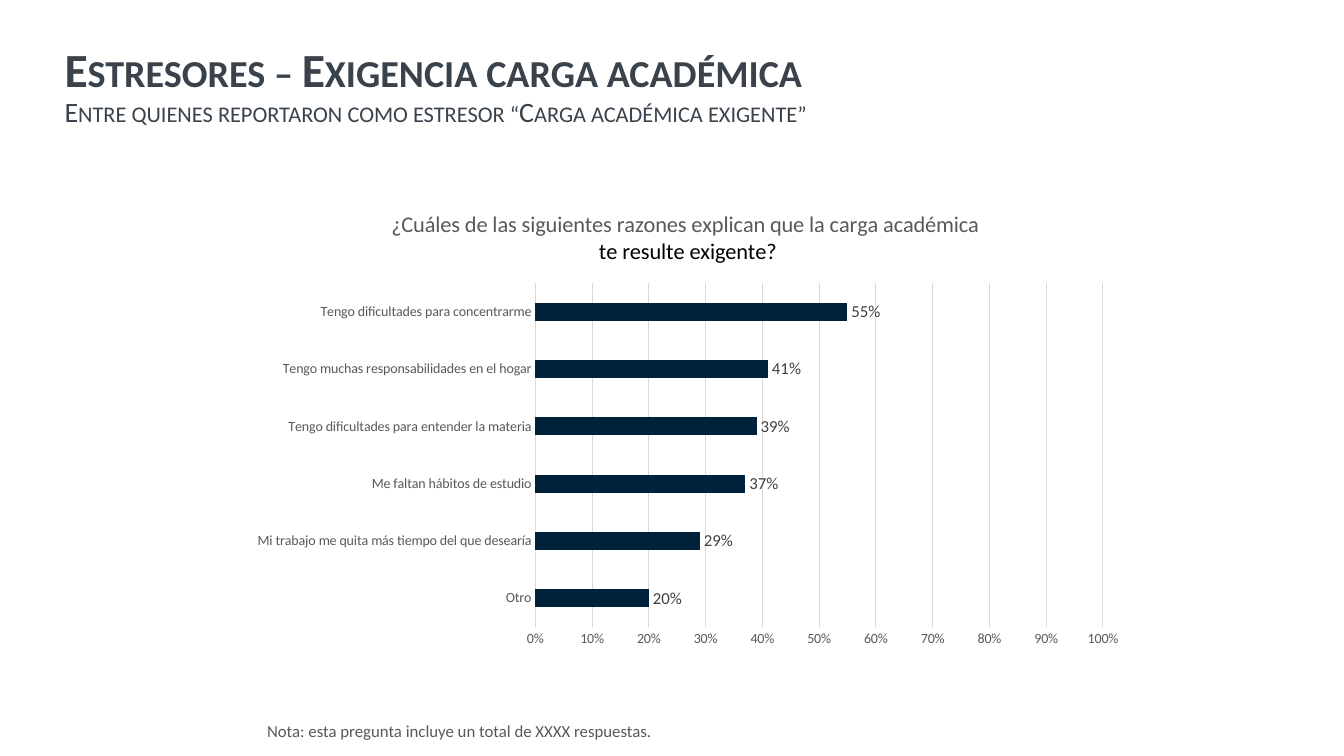
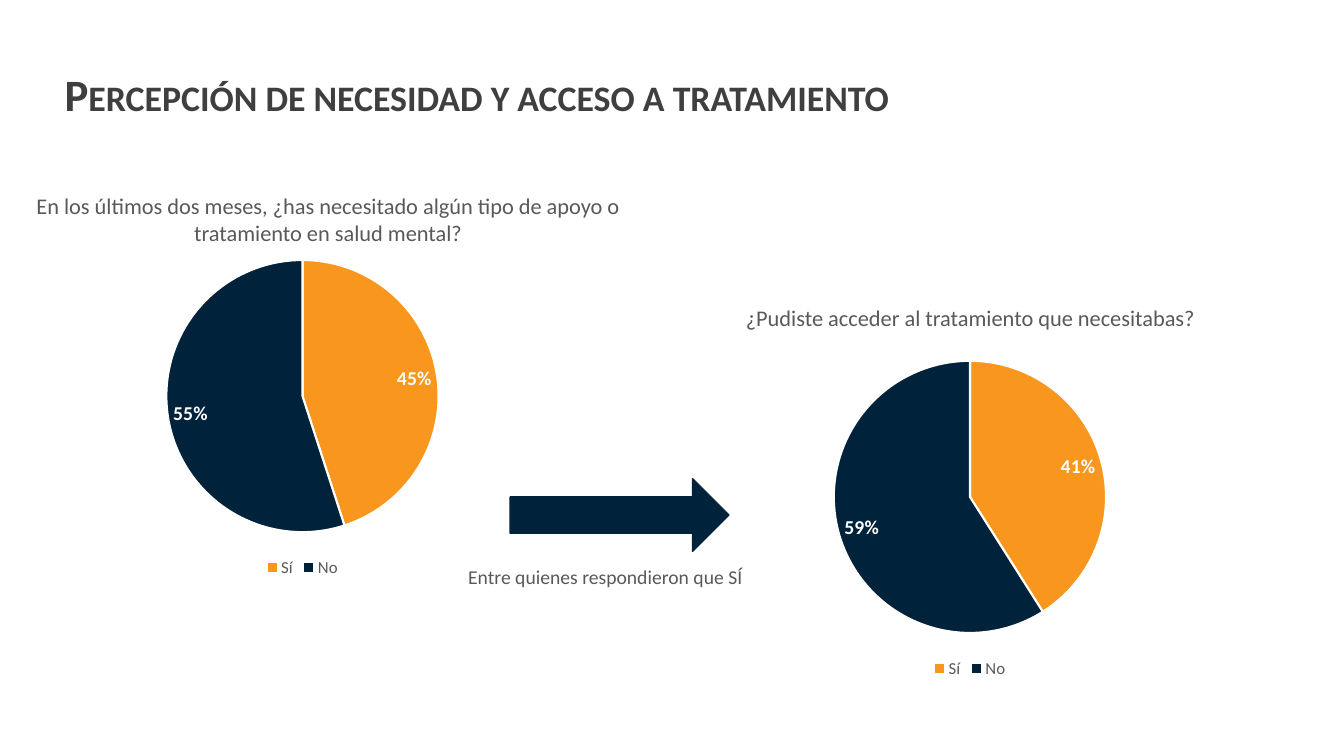
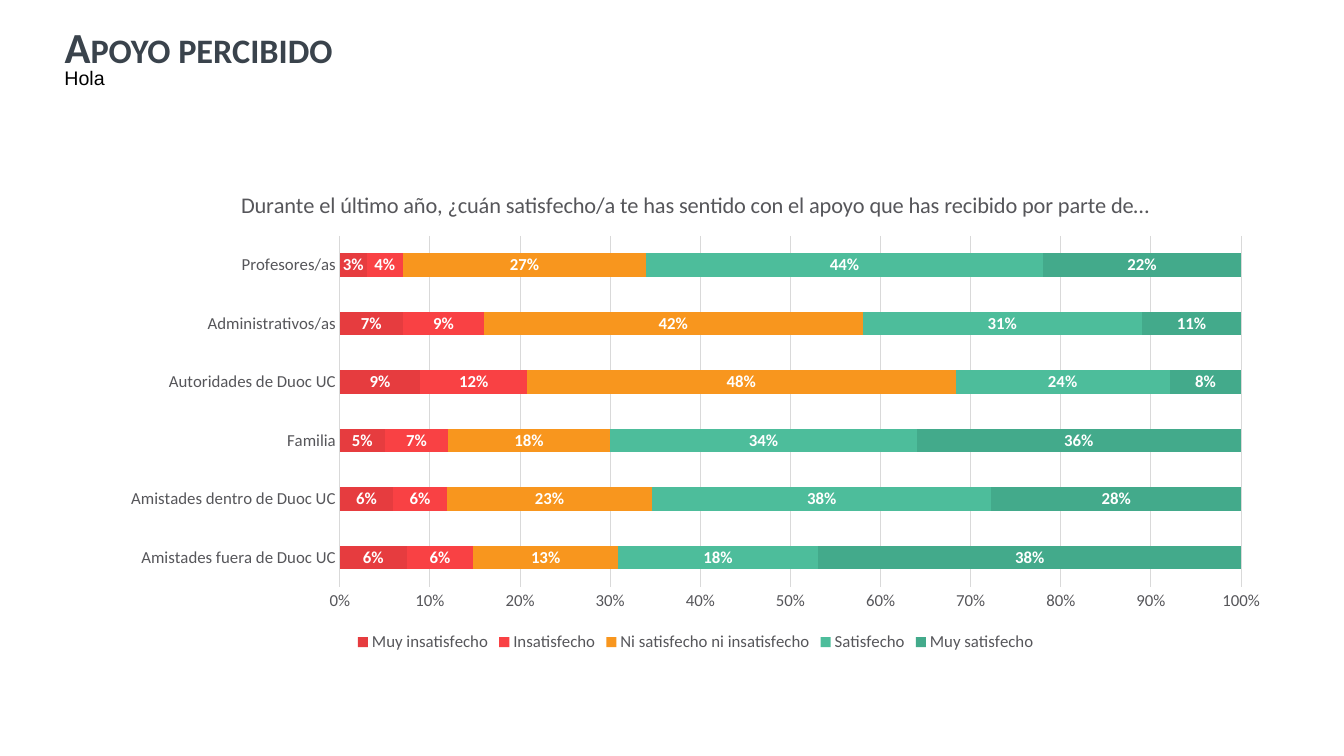
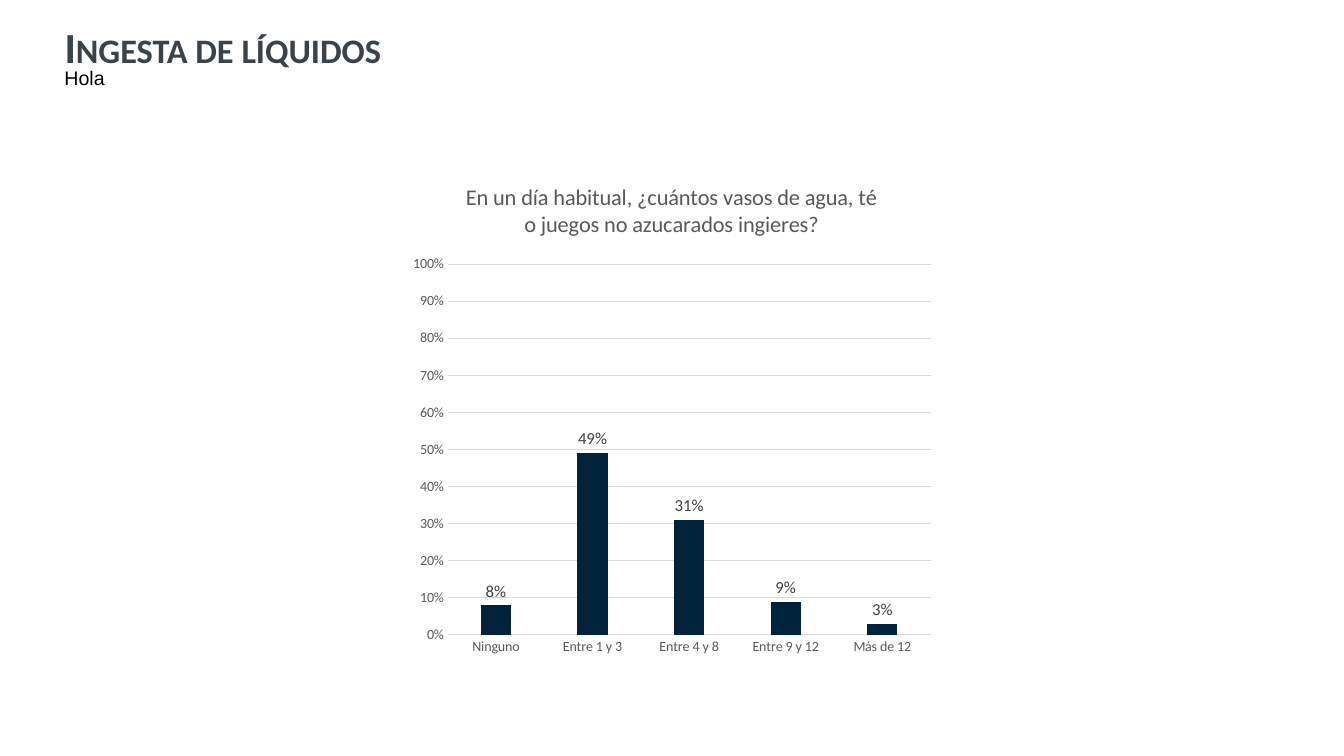
import lxml.etree
import pptx
import pptx.chart.data
import pptx.dml.color
import pptx.enum.chart
import pptx.enum.shapes
import pptx.enum.text
import pptx.oxml.ns
import pptx.util

EMU_PER_PX = 9144
FONT = "Calibri"
NAVY, ORANGE, WHITE, BLACK = "00223A", "F8961E", "FFFFFF", "000000"
SLATE, CHARCOAL, GRAY, LABEL_GRAY = "3A434C", "3F3F3F", "595959", "404040"
WARM_GRAY, GRID_GRAY = "56565A", "D9D9D9"
CHART_TYPE = pptx.enum.chart.XL_CHART_TYPE
LABEL_POSITION = pptx.enum.chart.XL_LABEL_POSITION
ANCHOR = pptx.enum.text.MSO_ANCHOR
ALIGN = pptx.enum.text.PP_ALIGN


def px(length):
    return pptx.util.Emu(length * EMU_PER_PX)


def color(hex_string):
    return pptx.dml.color.RGBColor.from_string(hex_string)


def fill(target, hex_string):
    target.fill.solid()
    target.fill.fore_color.rgb = color(hex_string)


def outline(line, hex_string, width):
    line.color.rgb = color(hex_string)
    line.width = pptx.util.Pt(width)


def style_font(font, size, hex_string, bold=False, name=FONT):
    font.name = name
    font.size = pptx.util.Pt(size)
    font.bold = bold
    font.color.rgb = color(hex_string)


def place(shape, box):
    shape.left, shape.top, shape.width, shape.height = map(px, box)


def add_title_slide(presentation, text, box, size, hex_string=SLATE, anchor=ANCHOR.MIDDLE, subtitle=None):
    slide = presentation.slides.add_slide(presentation.slide_layouts[5])
    title = slide.shapes.title
    place(title, box)
    frame = title.text_frame
    frame.auto_size = pptx.enum.text.MSO_AUTO_SIZE.NONE
    frame.vertical_anchor = anchor
    if anchor == ANCHOR.TOP:
        frame.margin_top = px(1)
    paragraph = frame.paragraphs[0]
    paragraph.alignment = ALIGN.LEFT
    paragraph.line_spacing = 0.9
    paragraph.add_run().text = text
    style_font(paragraph.font, size, hex_string, True)
    paragraph._p.get_or_add_pPr().get_or_add_defRPr().set("cap", "small")
    if subtitle:
        paragraph.add_line_break()
        run = paragraph.add_run()
        run.text = subtitle
        run.font.size = pptx.util.Pt(20)
        run.font.bold = False
    return slide


def add_text(slide, text, box, size, hex_string=GRAY, alignment=ALIGN.LEFT, name=FONT):
    frame = slide.shapes.add_textbox(*map(px, box)).text_frame
    frame.word_wrap = True
    paragraph = frame.paragraphs[0]
    paragraph.text = text
    paragraph.alignment = alignment
    style_font(paragraph.font, size, hex_string, name=name)


def set_layout(parent, box, area, inner=False):
    qualified = pptx.oxml.ns.qn
    layout = parent.find(qualified("c:layout"))
    if layout is None:
        layout = lxml.etree.Element(qualified("c:layout"))
        parent.insert(0, layout)
    manual = lxml.etree.SubElement(layout, qualified("c:manualLayout"))
    settings = [("layoutTarget", "inner")] if inner else []
    settings += [("xMode", "edge"), ("yMode", "edge")]
    extents = (box[2], box[3], box[2], box[3])
    settings += [(key, f"{length / extent:.4f}") for key, length, extent in zip("xywh", area, extents)]
    for key, value in settings:
        lxml.etree.SubElement(manual, qualified("c:" + key)).set("val", value)


def add_chart(slide, kind, box, plot_area, categories, series, size, hex_string):
    data = pptx.chart.data.CategoryChartData(number_format="0%")
    data.categories = categories
    for name, values in series:
        data.add_series(name, values)
    chart = slide.shapes.add_chart(kind, *map(px, box), data).chart
    style_font(chart.font, size, hex_string)
    chart.has_title = False
    chart.has_legend = kind == CHART_TYPE.PIE or len(series) > 1
    if chart.has_legend:
        chart.legend.position = pptx.enum.chart.XL_LEGEND_POSITION.BOTTOM
        chart.legend.include_in_layout = False
        style_font(chart.legend.font, 12, hex_string)
    set_layout(chart._chartSpace.chart.plotArea, box, plot_area, True)
    return chart


def style_labels(series, position, size, hex_string, bold):
    labels = series.data_labels
    labels.show_value = True
    labels.number_format = "0%"
    labels.number_format_is_linked = False
    labels.position = position
    style_font(labels.font, size, hex_string, bold)


def add_chart_title(chart, box, position, lines):
    chart.has_title = True
    frame = chart.chart_title.text_frame
    for index, (text, hex_string) in enumerate(lines):
        paragraph = frame.add_paragraph() if index else frame.paragraphs[0]
        paragraph.text = text
        style_font(paragraph.font, 16, hex_string)
    set_layout(chart.chart_title._element, box, position)


def style_axes(chart, size, hex_string):
    for axis in (chart.category_axis, chart.value_axis):
        axis.major_tick_mark = axis.minor_tick_mark = pptx.enum.chart.XL_TICK_MARK.NONE
        style_font(axis.tick_labels.font, size, hex_string)
    chart.category_axis.has_major_gridlines = False
    outline(chart.category_axis.format.line, GRID_GRAY, 0.75)
    axis = chart.value_axis
    axis.format.line.fill.background()
    axis.has_major_gridlines = True
    outline(axis.major_gridlines.format.line, GRID_GRAY, 0.75)
    axis.tick_labels.number_format = "0%"
    axis.tick_labels.number_format_is_linked = False


def add_bars(slide, kind, box, plot_area, title_position, title_lines, categories, series,
             fills=(NAVY,), gap=219, overlap=0, size=10, hex_string=GRAY):
    chart = add_chart(slide, kind, box, plot_area, categories, series, size, hex_string)
    add_chart_title(chart, box, title_position, title_lines)
    style_axes(chart, size, hex_string)
    plot = chart.plots[0]
    plot.vary_by_categories = False
    plot.gap_width = gap
    plot.overlap = overlap
    stacked = kind == CHART_TYPE.BAR_STACKED_100
    if not stacked:
        chart.value_axis.minimum_scale = 0
        chart.value_axis.maximum_scale = 1
        chart.value_axis.major_unit = 0.1
    position = LABEL_POSITION.CENTER if stacked else LABEL_POSITION.OUTSIDE_END
    for bars, bar_color in zip(plot.series, fills):
        fill(bars.format, bar_color)
        style_labels(bars, position, 12, WHITE if stacked else LABEL_GRAY, stacked)


def add_pie(slide, left, top, values):
    chart = add_chart(slide, CHART_TYPE.PIE, (left, top, 600, 334), (165, 15, 270, 270),
                      ("Sí", "No"), [("Series 1", values)], 12, GRAY)
    series = chart.plots[0].series[0]
    for index, slice_color in enumerate((ORANGE, NAVY)):
        slice_format = series.points[index].format
        fill(slice_format, slice_color)
        outline(slice_format.line, WHITE, 1.5)
    style_labels(series, LABEL_POSITION.BEST_FIT, 14, WHITE, True)


def build_workload(presentation):
    slide = add_title_slide(presentation, "Estresores – Exigencia carga académica", (54, 40, 1273, 94), 34,
                            subtitle="Entre quienes reportaron como estresor “Carga académica exigente”")
    add_bars(slide, CHART_TYPE.BAR_CLUSTERED, (238, 193, 889, 458), (293, 88, 563, 341), (147, 12),
             [("¿Cuáles de las siguientes razones explican que la carga académica ", GRAY),
              ("te resulte exigente?", BLACK)],
             ("Otro", "Mi trabajo me quita más tiempo del que desearía", "Me faltan hábitos de estudio",
              "Tengo dificultades para entender la materia", "Tengo muchas responsabilidades en el hogar",
              "Tengo dificultades para concentrarme"),
             [("Series 1", (0.2, 0.29, 0.37, 0.39, 0.41, 0.55))])
    add_text(slide, "Nota: esta pregunta incluye un total de XXXX respuestas.", (255, 710, 738, 30), 12)


def build_treatment(presentation):
    slide = add_title_slide(presentation, "Percepción de necesidad y acceso a tratamiento",
                            (54, 24, 1273, 145), 32, CHARCOAL)
    add_pie(slide, 0, 243, (0.45, 0.55))
    add_pie(slide, 662, 343, (0.41, 0.59))
    for text, box, size in (
        ("En los últimos dos meses, ¿has necesitado algún tipo de apoyo o tratamiento en salud mental?",
         (22, 186, 607, 64), 16),
        ("¿Pudiste acceder al tratamiento que necesitabas?", (659, 297, 607, 37), 16),
        ("Entre quienes respondieron que SÍ", (297, 556, 607, 34), 14),
    ):
        add_text(slide, text, box, size, alignment=ALIGN.CENTER)
    arrow = slide.shapes.add_shape(pptx.enum.shapes.MSO_SHAPE.RIGHT_ARROW, *map(px, (506, 475, 217, 72)))
    arrow.shadow.inherit = False
    fill(arrow, NAVY)
    outline(arrow.line, NAVY, 1)


def add_greeting_slide(presentation, text):
    slide = add_title_slide(presentation, text, (54, 25, 1273, 94), 30.6, anchor=ANCHOR.TOP)
    add_text(slide, "Hola", (54, 61, 1156, 34), 14, BLACK, name="Arial")
    return slide


def build_support(presentation):
    slide = add_greeting_slide(presentation, "Apoyo percibido")
    add_bars(slide, CHART_TYPE.BAR_STACKED_100, (107, 169, 1166, 482), (230, 65, 894, 348), (128, 15),
             [("Durante el último año, ¿cuán satisfecho/a te has sentido con el apoyo "
               "que has recibido por parte de…", WARM_GRAY)],
             ("Amistades fuera de Duoc UC", "Amistades dentro de Duoc UC", "Familia",
              "Autoridades de Duoc UC", "Administrativos/as", "Profesores/as"),
             [("Muy insatisfecho", (0.06, 0.06, 0.05, 0.09, 0.07, 0.03)),
              ("Insatisfecho", (0.06, 0.06, 0.07, 0.12, 0.09, 0.04)),
              ("Ni satisfecho ni insatisfecho", (0.13, 0.23, 0.18, 0.48, 0.42, 0.27)),
              ("Satisfecho", (0.18, 0.38, 0.34, 0.24, 0.31, 0.44)),
              ("Muy satisfecho", (0.38, 0.28, 0.36, 0.08, 0.11, 0.22))],
             fills=("E63C3F", "F94144", ORANGE, "4DBD9B", "43AA8B"),
             gap=150, overlap=100, size=12, hex_string=WARM_GRAY)


def build_liquids(presentation):
    slide = add_greeting_slide(presentation, "Ingesta de líquidos")
    add_bars(slide, CHART_TYPE.COLUMN_CLUSTERED, (399, 161, 534, 498), (45, 101, 479, 368), (59, 15),
             [("En un día habitual, ¿cuántos vasos de agua, té o juegos no azucarados ingieres?", GRAY)],
             ("Ninguno", "Entre 1 y 3", "Entre 4 y 8", "Entre 9 y 12", "Más de 12"),
             [("Series 1", (0.08, 0.49, 0.31, 0.09, 0.03))], overlap=-27)


def main():
    presentation = pptx.Presentation()
    presentation.slide_width, presentation.slide_height = px(1333), px(750)
    for build in (build_workload, build_treatment, build_support, build_liquids):
        build(presentation)
    presentation.save("out.pptx")


if __name__ == "__main__":
    main()
